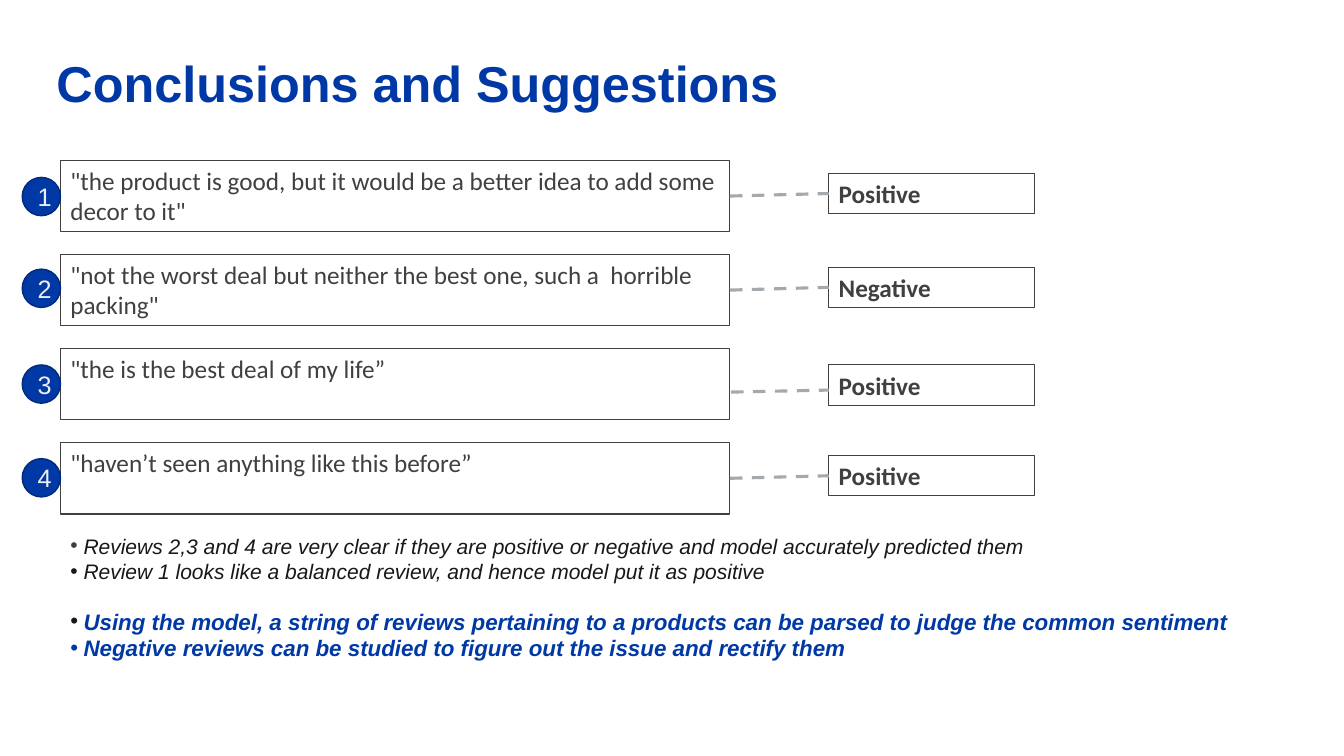
import pptx
import pptx.util
import pptx.dml.color
import pptx.enum.dml
import pptx.enum.shapes
import pptx.enum.text
import pptx.oxml
import pptx.oxml.ns

Inches = pptx.util.Inches
Pt = pptx.util.Pt
RGBColor = pptx.dml.color.RGBColor
SHAPE = pptx.enum.shapes.MSO_SHAPE
ALIGN = pptx.enum.text.PP_ALIGN
ANCHOR = pptx.enum.text.MSO_ANCHOR

BLUE = RGBColor(0x00, 0x39, 0xA6)
NAVY = RGBColor(0x00, 0x2A, 0x7B)
GREY = RGBColor(0x40, 0x40, 0x41)
INK = RGBColor(0x16, 0x18, 0x19)
PALE = RGBColor(0xED, 0xEE, 0xEF)
DASH = RGBColor(0xA4, 0xA9, 0xAD)


def write(p, text, color, **formats):
    r = p.add_run()
    r.text = text
    r.font.color.rgb = color
    for name, value in formats.items():
        setattr(r.font, name, value)


def add_box(kind, left, top, width, height, line, weight, fill=None):
    sp = s.shapes.add_shape(kind, Inches(left), Inches(top), Inches(width), Inches(height))
    sp.shadow.inherit = False
    sp.line.color.rgb = line
    sp.line.width = Pt(weight)
    if fill is None:
        sp.fill.background()
    else:
        sp.fill.solid()
        sp.fill.fore_color.rgb = fill
    return sp


prs = pptx.Presentation()
prs.slide_width = Inches(13.33)
prs.slide_height = Inches(7.5)
s = prs.slides.add_slide(prs.slide_layouts[5])

title = s.shapes.title
title.left, title.top = Inches(0.43), Inches(0.46)
title.width, title.height = Inches(11.25), Inches(0.89)
tf = title.text_frame
tf.auto_size = pptx.enum.text.MSO_AUTO_SIZE.NONE
tf.vertical_anchor = ANCHOR.TOP
for side in ("left", "top", "right", "bottom"):
    setattr(tf, f"margin_{side}", Inches(0.13))
p = tf.paragraphs[0]
p.alignment = ALIGN.LEFT
p.line_spacing = 0.9
write(p, "Conclusions and Suggestions", BLUE, size=Pt(36), bold=True, name="Arial")

reviews = [
    ('"the product is good, but it would be a better idea to add some decor to it"', "Positive", 1.76, 1.72),
    ('"not the worst deal but neither the best one, such a  horrible packing"', "Negative", 2.67, 2.65),
    ('"the is the best deal of my life”', "Positive", 3.62, 3.62),
    ('"haven’t seen anything like this before”', "Positive", 4.55, 4.52),
]
for i, (quote, sentiment, badge_top, label_top) in enumerate(reviews):
    review = add_box(SHAPE.RECTANGLE, 0.6, 1.59 + i * 0.9333, 6.64, 0.71, GREY, 0.75)
    label = add_box(SHAPE.RECTANGLE, 8.22, label_top, 2.04, 0.4, GREY, 0.75)
    for sp, text, bold in ((review, quote, False), (label, sentiment, True)):
        tf = sp.text_frame
        tf.vertical_anchor = ANCHOR.TOP
        p = tf.paragraphs[0]
        p.alignment = ALIGN.LEFT
        write(p, text, GREY, size=Pt(18), bold=bold, name="Calibri")

    badge = add_box(SHAPE.OVAL, 0.22, badge_top, 0.38, 0.38, NAVY, 1, BLUE)
    p = badge.text_frame.paragraphs[0]
    p.alignment = ALIGN.CENTER
    write(p, str(i + 1), PALE, size=Pt(18), name="Arial")

    link = s.shapes.add_connector(
        pptx.enum.shapes.MSO_CONNECTOR.STRAIGHT,
        Inches(7.25), Inches(3.89), Inches(8.22), Inches(3.87))
    if i != 2:
        link.begin_connect(review, 3)
        link.end_connect(label, 1)
    link.line.color.rgb = DASH
    link.line.width = Pt(2.25)
    link.line.dash_style = pptx.enum.dml.MSO_LINE.DASH
    link._element.spPr.append(pptx.oxml.parse_xml(
        f'<a:effectLst {pptx.oxml.ns.nsdecls("a")}/>'))

findings = [
    ("Reviews 2,3 and 4 are very clear if they are positive or negative and model accurately predicted them",
     GREY, INK, 15, False, 0),
    ("Review 1 looks like a balanced review, and hence model put it as positive",
     INK, INK, 15, False, 0),
    ("Using the model, a string of reviews pertaining to a products can be parsed to judge the common sentiment",
     INK, BLUE, 16, True, 17.25),
    ("Negative reviews can be studied to figure out the issue and rectify them",
     BLUE, BLUE, 16, True, 0),
]
notes = s.shapes.add_textbox(Inches(0.6), Inches(5.24), Inches(11.82), Inches(1.7))
tf = notes.text_frame
tf.word_wrap = True
for i, (text, bullet_color, color, size, bold, gap) in enumerate(findings):
    p = tf.add_paragraph() if i else tf.paragraphs[0]
    pPr = p._p.get_or_add_pPr()
    pPr.set("marL", str(Inches(0.13)))
    pPr.set("indent", str(-Inches(0.13)))
    for bullet in (f'<a:buClr %s><a:srgbClr val="{bullet_color}"/></a:buClr>',
                   '<a:buFont %s typeface="Arial"/>',
                   '<a:buChar %s char="•"/>'):
        pPr.append(pptx.oxml.parse_xml(bullet % pptx.oxml.ns.nsdecls("a")))
    if gap:
        p.space_before = Pt(gap)
    write(p, text, color, size=Pt(size), bold=bold, italic=True, name="Arial")

prs.save("out.pptx")
